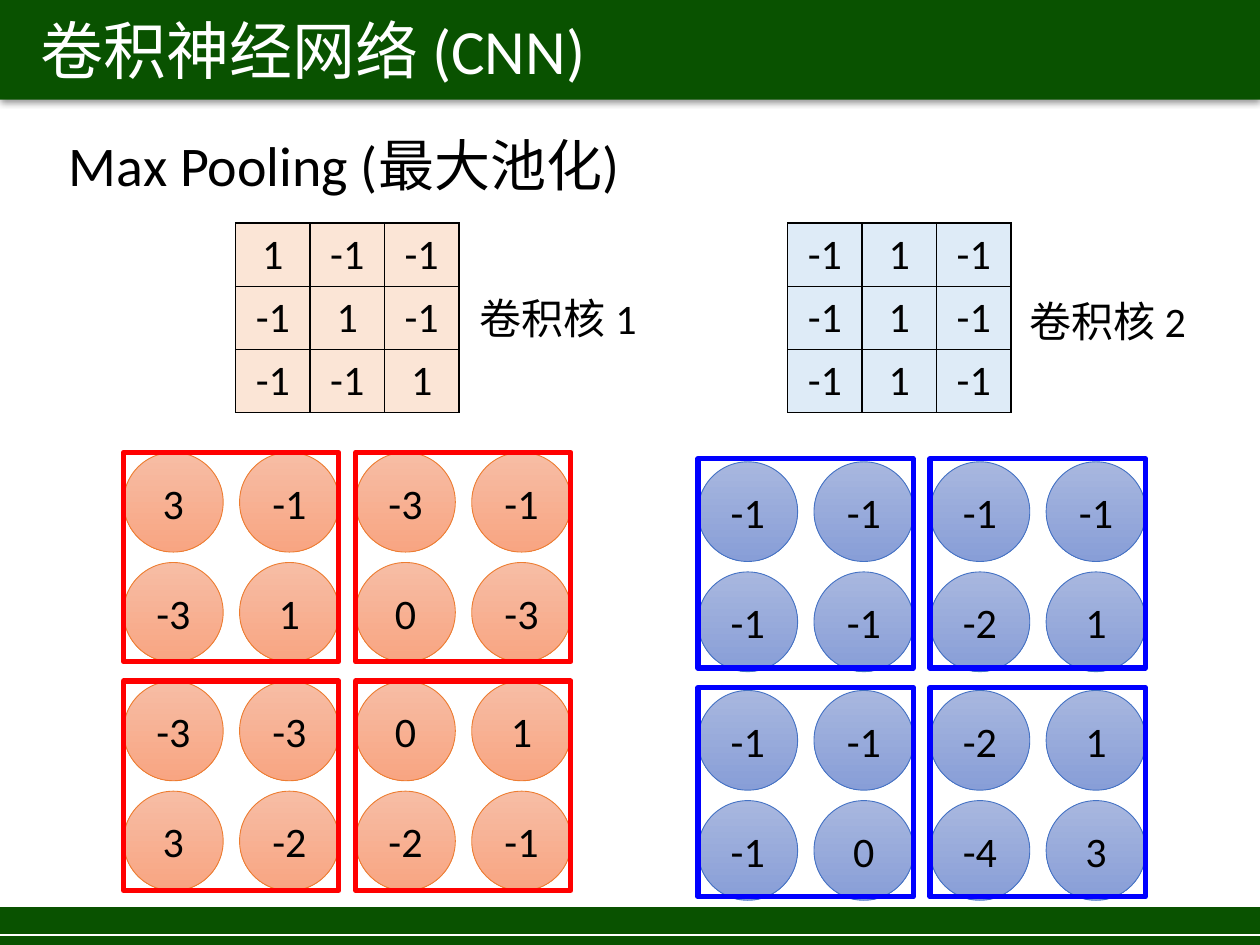
from lxml import etree
from pptx import Presentation
from pptx.dml.color import RGBColor
from pptx.enum.shapes import MSO_CONNECTOR, MSO_SHAPE
from pptx.enum.text import MSO_ANCHOR, MSO_AUTO_SIZE, PP_ALIGN
from pptx.oxml import parse_xml
from pptx.oxml.ns import nsdecls, qn
from pptx.util import Cm, Pt

RECT, OVAL = MSO_SHAPE.RECTANGLE, MSO_SHAPE.OVAL
LINE = MSO_CONNECTOR.STRAIGHT
LEFT, CENTER = PP_ALIGN.LEFT, PP_ALIGN.CENTER
MIDDLE = MSO_ANCHOR.MIDDLE
FIXED = MSO_AUTO_SIZE.NONE

COLORS = {
    "green": "095200", "white": "FFFFFF", "black": "000000",
    "red": "FF0000", "blue": "0000FF",
    "peach": "FBE5D6", "sky": "DEEBF7",
    "orange": "ED7D31", "orange top": "F7BDA5", "orange low": "F8A582",
    "navy": "4472C4", "navy top": "A8B7DF", "navy low": "889ED7",
}
BALL = 2.01
STEP_X, STEP_Y = 2.34, 2.22
GROUP_X, GROUP_Y = 4.68, 4.61
FRAME_W, FRAME_H = 4.34, 4.22


def color(name):
    return RGBColor.from_string(COLORS[name])


class Deck:
    font = "Calibri"

    def __init__(self):
        self.prs = Presentation()
        self.prs.slide_width, self.prs.slide_height = Cm(25.4), Cm(19.05)
        self.slide = self.prs.slides.add_slide(self.prs.slide_layouts[5])

    def style(self, frame, size=24, tint="black", align=CENTER):
        for para in frame.paragraphs:
            para.alignment = align
            for run in para.runs:
                run.font.name = self.font
                run.font.size = Pt(size)
                run.font.color.rgb = color(tint)

    def title(self, text):
        bar = self.slide.shapes.title
        bar.left, bar.top, bar.width, bar.height = Cm(0), Cm(-0.02), Cm(25.4), Cm(2.03)
        bar.fill.solid()
        bar.fill.fore_color.rgb = color("green")
        bar._element.spPr.append(parse_xml(
            f'<a:effectLst {nsdecls("a")}><a:outerShdw blurRad="{Pt(4)}" dist="{Pt(1)}" '
            'dir="5400000" algn="t" rotWithShape="0"><a:srgbClr val="000000">'
            '<a:alpha val="40000"/></a:srgbClr></a:outerShdw></a:effectLst>'))
        frame = bar.text_frame
        frame.text = text
        frame.auto_size = FIXED
        frame.vertical_anchor = MIDDLE
        frame.margin_left = Cm(0.81)
        self.style(frame, 36, "white", LEFT)

    def shape(self, kind, x, y, w, h):
        item = self.slide.shapes.add_shape(kind, Cm(x), Cm(y), Cm(w), Cm(h))
        item.shadow.inherit = False
        return item

    def band(self, y, h):
        item = self.shape(RECT, 0, y, 25.4, h)
        item.fill.solid()
        item.fill.fore_color.rgb = color("green")
        item.line.fill.background()

    def rule(self, y):
        item = self.slide.shapes.add_connector(LINE, Cm(0), Cm(y), Cm(25.4), Cm(y))
        item.line.color.rgb = color("white")
        item.line.width = Pt(0.75)
        etree.SubElement(item._element.spPr, qn("a:effectLst"))

    def label(self, text, x, y, w, h, size=24, align=CENTER):
        frame = self.slide.shapes.add_textbox(Cm(x), Cm(y), Cm(w), Cm(h)).text_frame
        frame.word_wrap = True
        frame.text = text
        self.style(frame, size, align=align)

    def ball(self, text, x, y, hue):
        item = self.shape(OVAL, x, y, BALL, BALL)
        item.fill.gradient()
        item.fill.gradient_angle = 270
        for stop, end in zip(item.fill.gradient_stops, ("top", "low")):
            stop.color.rgb = color(f"{hue} {end}")
        item.line.color.rgb = color(hue)
        item.line.width = Pt(0.5)
        item.text_frame.text = text
        item.text_frame.vertical_anchor = MIDDLE
        self.style(item.text_frame)

    def frame(self, x, y, tint):
        item = self.shape(RECT, x, y, FRAME_W, FRAME_H)
        item.fill.background()
        item.line.color.rgb = color(tint)
        item.line.width = Pt(3)

    def kernel(self, rows, x, y, tint):
        grid = self.slide.shapes.add_table(3, 3, Cm(x), Cm(y), Cm(4.5), Cm(3.81)).table
        grid.first_row = grid.horz_banding = False
        for r, row in enumerate(rows):
            for c, text in enumerate(row):
                cell = grid.cell(r, c)
                cell.text = text
                self.style(cell.text_frame)
                for side in ("lnL", "lnR", "lnT", "lnB"):
                    cell._tc.get_or_add_tcPr().append(parse_xml(
                        f'<a:{side} {nsdecls("a")} w="{Pt(1)}"><a:solidFill>'
                        f'<a:srgbClr val="{COLORS["black"]}"/></a:solidFill></a:{side}>'))
                cell.fill.solid()
                cell.fill.fore_color.rgb = color(tint)

    def pool(self, rows, x, y, top, hue, tint):
        for r, row in enumerate(rows):
            for c, text in enumerate(row):
                down = r // 2 * GROUP_Y + r % 2 * STEP_Y
                self.ball(text, x + c * STEP_X, y + down, hue)
        for r in range(2):
            for c in range(2):
                self.frame(x + c * GROUP_X, top + r * GROUP_Y, tint)


def main():
    deck = Deck()
    deck.title("卷积神经网络 (CNN)")
    deck.band(18.29, 0.76)
    deck.rule(18.85)
    deck.label("Max Pooling (最大池化)", 1.14, 2.51, 11.73, 1.63, 32, LEFT)

    deck.kernel([("1", "-1", "-1"), ("-1", "1", "-1"), ("-1", "-1", "1")],
                4.75, 4.5, "peach")
    deck.label("卷积核 1", 9.25, 5.77, 4.01, 1.27)
    deck.pool([("3", "-1", "-3", "-1"), ("-3", "1", "0", "-3"),
               ("-3", "-3", "0", "1"), ("3", "-2", "-2", "-1")],
              2.49, 9.12, 9.12, "orange", "red")

    deck.kernel([("-1", "1", "-1")] * 3, 15.88, 4.5, "sky")
    deck.label("卷积核 2", 20.32, 5.84, 4.01, 1.27)
    deck.pool([("-1", "-1", "-1", "-1"), ("-1", "-1", "-2", "1"),
               ("-1", "-1", "-2", "1"), ("-1", "0", "-4", "3")],
              14.07, 9.31, 9.25, "navy", "blue")
    deck.prs.save("out.pptx")


if __name__ == "__main__":
    main()
